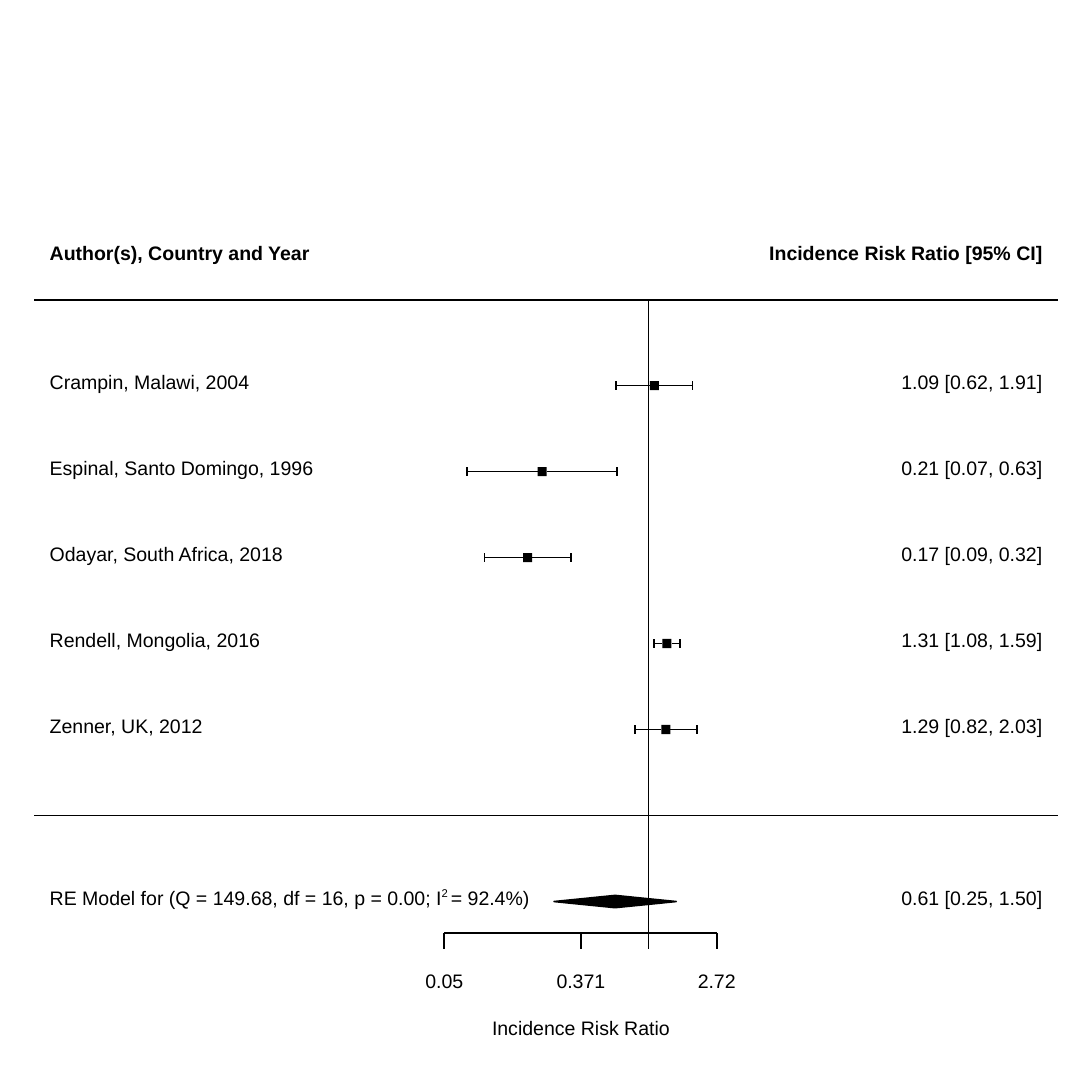
"""Build a forest plot slide of incidence risk ratios from five studies."""
from dataclasses import dataclass
from math import log

from lxml.etree import SubElement
from pptx import Presentation
from pptx.dml.color import RGBColor
from pptx.enum.shapes import MSO_CONNECTOR, MSO_SHAPE
from pptx.enum.text import PP_ALIGN
from pptx.oxml.ns import qn
from pptx.util import Cm, Pt


@dataclass(frozen=True)
class Theme:
    ink: RGBColor = RGBColor(0, 0, 0)
    font: str = "Arial"
    text_size: Pt = Pt(9)
    line_width: Pt = Pt(0.75)


THEME = Theme()
LEFT, RIGHT = 0.81, 16.97
RULE_LEFT, RULE_RIGHT = 0.56, 17.22
LABEL_WIDTH, RATIO_WIDTH, TICK_WIDTH, TITLE_WIDTH = 8.2, 5, 1.4, 5
FIRST_ROW, ROW_STEP = 6.28, 1.4
NO_EFFECT_X, LOG_UNIT = 10.56, 1.11
AXIS_Y, TICK_BOTTOM = 15.19, 15.45
TICK_LABEL_Y, AXIS_TITLE_Y = 16.03, 16.79
SQUARE, CAP, DIAMOND_HEIGHT = 0.15, 0.14, 0.2

studies = [
    ("Crampin, Malawi, 2004", 1.09, 0.62, 1.91),
    ("Espinal, Santo Domingo, 1996", 0.21, 0.07, 0.63),
    ("Odayar, South Africa, 2018", 0.17, 0.09, 0.32),
    ("Rendell, Mongolia, 2016", 1.31, 1.08, 1.59),
    ("Zenner, UK, 2012", 1.29, 0.82, 2.03),
]
summary = ("RE Model for (Q = 149.68, df = 16, p = 0.00; I", 0.61, 0.25, 1.50)
ticks = ["0.05", "0.371", "2.72"]

prs = Presentation()
prs.slide_width = prs.slide_height = Cm(17.78)
slide = prs.slides.add_slide(prs.slide_layouts[6])
shapes = slide.shapes


def add_text(texts, left, middle, width, align=PP_ALIGN.LEFT, bold=False):
    """Write runs on one line around a middle height and return the paragraph."""
    frame = shapes.add_textbox(Cm(left), Cm(middle - 0.28), Cm(width), Cm(0.46)).text_frame
    frame.margin_left = frame.margin_right = frame.margin_bottom = 0
    frame.margin_top = Cm(0.03)
    frame.word_wrap = True
    paragraph = frame.paragraphs[0]
    paragraph.alignment = align
    paragraph.space_before = Pt(1)
    for text in texts:
        run = paragraph.add_run()
        run.text = text
        run.font.name = THEME.font
        run.font.size = THEME.text_size
        run.font.bold = bold
        run.font.color.rgb = THEME.ink
    return paragraph


def add_line(x1, y1, x2, y2):
    """Draw a thin straight line and return it."""
    line = shapes.add_connector(MSO_CONNECTOR.STRAIGHT, Cm(x1), Cm(y1), Cm(x2), Cm(y2))
    line.line.color.rgb = THEME.ink
    line.line.width = THEME.line_width
    SubElement(line._element.spPr, qn("a:effectLst"))
    return line


header_rule_y = FIRST_ROW - ROW_STEP
summary_rule_y = FIRST_ROW + len(studies) * ROW_STEP
header_y = FIRST_ROW - 1.5 * ROW_STEP
for rule_y in (header_rule_y, summary_rule_y):
    add_line(RULE_LEFT, rule_y, RULE_RIGHT, rule_y)
add_line(NO_EFFECT_X, header_rule_y, NO_EFFECT_X, TICK_BOTTOM)

add_text(["Author(s), Country and Year"], LEFT, header_y, LABEL_WIDTH, bold=True)
add_text(["Incidence Risk Ratio [95% CI]"], RIGHT - RATIO_WIDTH, header_y, RATIO_WIDTH,
         PP_ALIGN.RIGHT, bold=True)

rows = [(FIRST_ROW + i * ROW_STEP, *study) for i, study in enumerate(studies)]
rows.append((summary_rule_y + ROW_STEP, *summary))
for y, label, ratio, low, high in rows:
    is_summary = label == summary[0]
    ratio_x, low_x, high_x = (NO_EFFECT_X + LOG_UNIT * log(v) for v in (ratio, low, high))
    label_runs = [label, "2 ", "= 92.4%)"] if is_summary else [label]
    label_line = add_text(label_runs, LEFT, y, LABEL_WIDTH)
    add_text([f"{ratio:.2f} [{low:.2f}, {high:.2f}]"], RIGHT - RATIO_WIDTH, y, RATIO_WIDTH,
             PP_ALIGN.RIGHT)
    if is_summary:
        label_line.runs[1].font._element.set("baseline", "42000")
        marker = shapes.add_shape(MSO_SHAPE.DIAMOND, Cm(low_x), Cm(y - DIAMOND_HEIGHT / 2),
                                  Cm(high_x - low_x), Cm(DIAMOND_HEIGHT))
        marker.line.color.rgb = THEME.ink
        marker.line.width = THEME.line_width
    else:
        marker = shapes.add_shape(MSO_SHAPE.RECTANGLE, Cm(ratio_x - SQUARE / 2),
                                  Cm(y - SQUARE / 2), Cm(SQUARE), Cm(SQUARE))
        marker.line.fill.background()
        for end_x, side in ((low_x, 1), (high_x, 3)):
            add_line(ratio_x, y, end_x, y).begin_connect(marker, side)
            add_line(end_x, y - CAP / 2, end_x, y + CAP / 2)
    marker.shadow.inherit = False
    marker.fill.solid()
    marker.fill.fore_color.rgb = THEME.ink

tick_xs = [NO_EFFECT_X + LOG_UNIT * log(float(tick)) for tick in ticks]
add_line(tick_xs[0], AXIS_Y, tick_xs[-1], AXIS_Y)
for tick, tick_x in zip(ticks, tick_xs):
    add_line(tick_x, AXIS_Y, tick_x, TICK_BOTTOM)
    add_text([tick], tick_x - TICK_WIDTH / 2, TICK_LABEL_Y, TICK_WIDTH, PP_ALIGN.CENTER)
add_text(["Incidence Risk Ratio"], tick_xs[1] - TITLE_WIDTH / 2, AXIS_TITLE_Y, TITLE_WIDTH,
         PP_ALIGN.CENTER)

prs.save("out.pptx")
